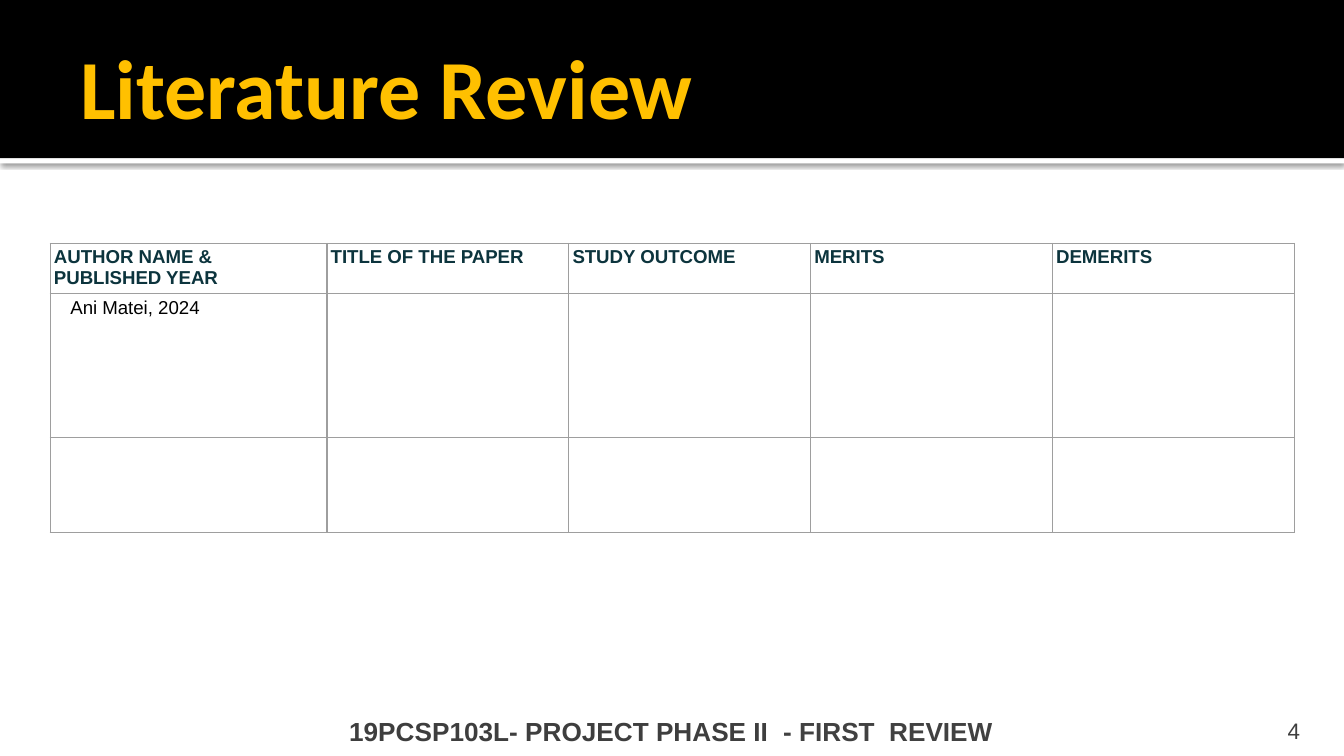
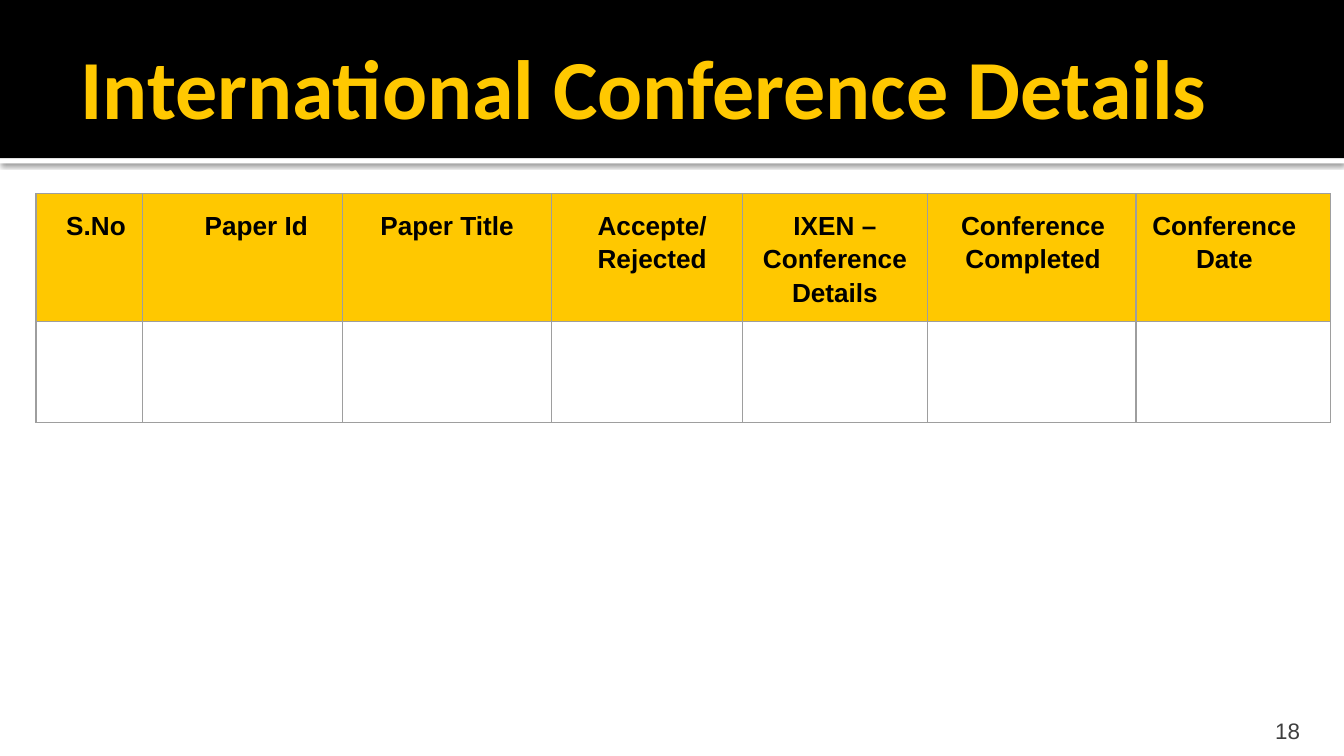
"""Build the literature review and conference details slides."""
import pptx
import pptx.dml.color
import pptx.enum.shapes
import pptx.enum.text
import pptx.oxml
import pptx.oxml.ns
import pptx.util

Cm, Pt = pptx.util.Cm, pptx.util.Pt
RGBColor = pptx.dml.color.RGBColor
ALIGN, ANCHOR = pptx.enum.text.PP_ALIGN, pptx.enum.text.MSO_ANCHOR

BLACK = RGBColor(0x00, 0x00, 0x00)
WHITE = RGBColor(0xFF, 0xFF, 0xFF)
AMBER = RGBColor(0xFF, 0xC0, 0x00)
YELLOW = RGBColor(0xFF, 0xC8, 0x00)
TEAL = RGBColor(0x0C, 0x34, 0x3D)
GREY = RGBColor(0x3F, 0x3F, 0x3F)
FOOTER_DARK = RGBColor(0x3E, 0x3E, 0x3E)
FOOTER_LIGHT = RGBColor(0x41, 0x41, 0x41)
BORDER = RGBColor(0x9E, 0x9E, 0x9E)
NS = pptx.oxml.ns.nsdecls("a")

SHADOW = (f'<a:effectLst {NS}><a:outerShdw blurRad="{Pt(2.5)}" dist="{Pt(0.8)}" dir="5400000" '
          'algn="tl" rotWithShape="0"><a:srgbClr val="000000"><a:alpha val="60000"/></a:srgbClr>'
          '</a:outerShdw></a:effectLst>')


def format_run(r, size, color, bold=False, font="Arial"):
    r.font.size = Pt(size)
    r.font.color.rgb = color
    r.font.bold = bold
    r.font.name = font


def add_text(s, box, text, anchor, margins):
    tf = s.shapes.add_textbox(*[Cm(v) for v in box]).text_frame
    tf.word_wrap = True
    tf.vertical_anchor = anchor
    tf.margin_left, tf.margin_top, tf.margin_right, tf.margin_bottom = [Cm(v) for v in margins]
    tf.text = text
    return tf.paragraphs[0]


slides = [
    {
        "title": "Literature Review", "title_color": AMBER, "number": "4",
        "footer": [("19PCSP103L- PROJECT PHASE II ", FOOTER_DARK),
                   (" - FIRST  REVIEW", FOOTER_LIGHT)],
        "left": 0.95, "top": 4.6, "margin": 0.07, "bottom": 0.03,
        "cols": [5.23] + [4.57] * 4, "rows": [0.94, 2.72, 1.8],
        "cells": [
            [("AUTHOR NAME &\nPUBLISHED YEAR", 0, 0), ("TITLE OF THE PAPER", 0, 0),
             ("STUDY OUTCOME", 0, 0), ("MERITS", 0, 0), ("DEMERITS", 0, 0)],
            [("Ani Matei, 2024", 0.31, 0)],
        ],
        "size": 10, "head_color": TEAL, "head_fill": None,
        "align": ALIGN.LEFT, "spacing": 1, "before": 0,
    },
    {
        "title": "International Conference Details", "title_color": YELLOW, "number": "18",
        "footer": [],
        "left": 0.68, "top": 3.66, "margin": 0.25, "bottom": 0.12,
        "cols": [2.02, 3.78, 3.94, 3.61, 3.5, 3.94, 3.68], "rows": [2.4, 1.91],
        "cells": [
            [("S.No", 0.25, 0), ("Paper Id", 0.81, 0.3), ("Paper Title", 0, 0),
             ("Accepte/ Rejected", 0.46, 0.26), ("IXEN –\nConference Details", 0, 0),
             ("Conference Completed", 0.31, 0.26), ("Conference Date", 0, 0.34)],
        ],
        "size": 14, "head_color": BLACK, "head_fill": YELLOW,
        "align": ALIGN.CENTER, "spacing": 1.15, "before": 3,
    },
]

prs = pptx.Presentation()
prs.slide_width, prs.slide_height = Cm(25.4), Cm(14.29)

for d in slides:
    s = prs.slides.add_slide(prs.slide_layouts[6])
    s.background.fill.solid()
    s.background.fill.fore_color.rgb = WHITE

    for top, height, color in [(2.99, 0.1, WHITE), (0, 2.99, BLACK)]:
        sp = s.shapes.add_shape(pptx.enum.shapes.MSO_SHAPE.RECTANGLE,
                                0, Cm(top), prs.slide_width, Cm(height))
        sp.fill.solid()
        sp.fill.fore_color.rgb = color
        sp.line.fill.background()
        if color == WHITE:
            sp._element.spPr.append(pptx.oxml.parse_xml(SHADOW))
        else:
            sp.shadow.inherit = False

    p = add_text(s, (1.27, 0.32, 22.86, 2.62), d["title"], ANCHOR.MIDDLE, (0.25, 0.13, 0.13, 0.13))
    format_run(p.runs[0], 45, d["title_color"], True, "Calibri")

    p = add_text(s, (22.79, 13.49, 2.03, 0.58), d["number"], ANCHOR.BOTTOM, (0.25, 0.13, 0.25, 0))
    p.alignment = ALIGN.RIGHT
    format_run(p.runs[0], 12, GREY)

    rows, cols = d["rows"], d["cols"]
    tbl = s.shapes.add_table(len(rows), len(cols), Cm(d["left"]), Cm(d["top"]),
                             Cm(sum(cols)), Cm(sum(rows))).table
    tbl.first_row = tbl.horz_banding = False
    for col, width in zip(tbl.columns, cols):
        col.width = Cm(width)
    for row, height in zip(tbl.rows, rows):
        row.height = Cm(height)

    for cell in tbl.iter_cells():
        cell.margin_left = cell.margin_right = cell.margin_top = Cm(d["margin"])
        cell.margin_bottom = Cm(d["bottom"])
        tcPr = cell._tc.get_or_add_tcPr()
        for side in ("lnL", "lnR", "lnT", "lnB"):
            tcPr.append(pptx.oxml.parse_xml(
                f'<a:{side} {NS} w="{Pt(0.75)}"><a:solidFill><a:srgbClr val="{BORDER}"/>'
                f'</a:solidFill></a:{side}>'))
        cell.fill.background()

    for i, texts in enumerate(d["cells"]):
        for j, (text, indent, right_indent) in enumerate(texts):
            cell = tbl.cell(i, j)
            cell.text_frame.text = text
            if i == 0 and d["head_fill"]:
                cell.fill.solid()
                cell.fill.fore_color.rgb = d["head_fill"]
            for k, p in enumerate(cell.text_frame.paragraphs):
                p.alignment = d["align"]
                p.line_spacing = d["spacing"]
                p.space_before = Pt(d["before"] if k == 0 else 0)
                pPr = p._p.get_or_add_pPr()
                pPr.set("marL", str(Cm(indent)))
                pPr.set("marR", str(Cm(right_indent)))
                format_run(p.runs[0], d["size"], d["head_color"] if i == 0 else BLACK, i == 0)

    if d["footer"]:
        p = add_text(s, (6.35, 13.39, 14.58, 0.86), "", ANCHOR.TOP, (0.25, 0.13, 0.25, 0.13))
        for text, color in d["footer"]:
            r = p.add_run()
            r.text = text
            format_run(r, 14, color, True)

prs.save("out.pptx")
